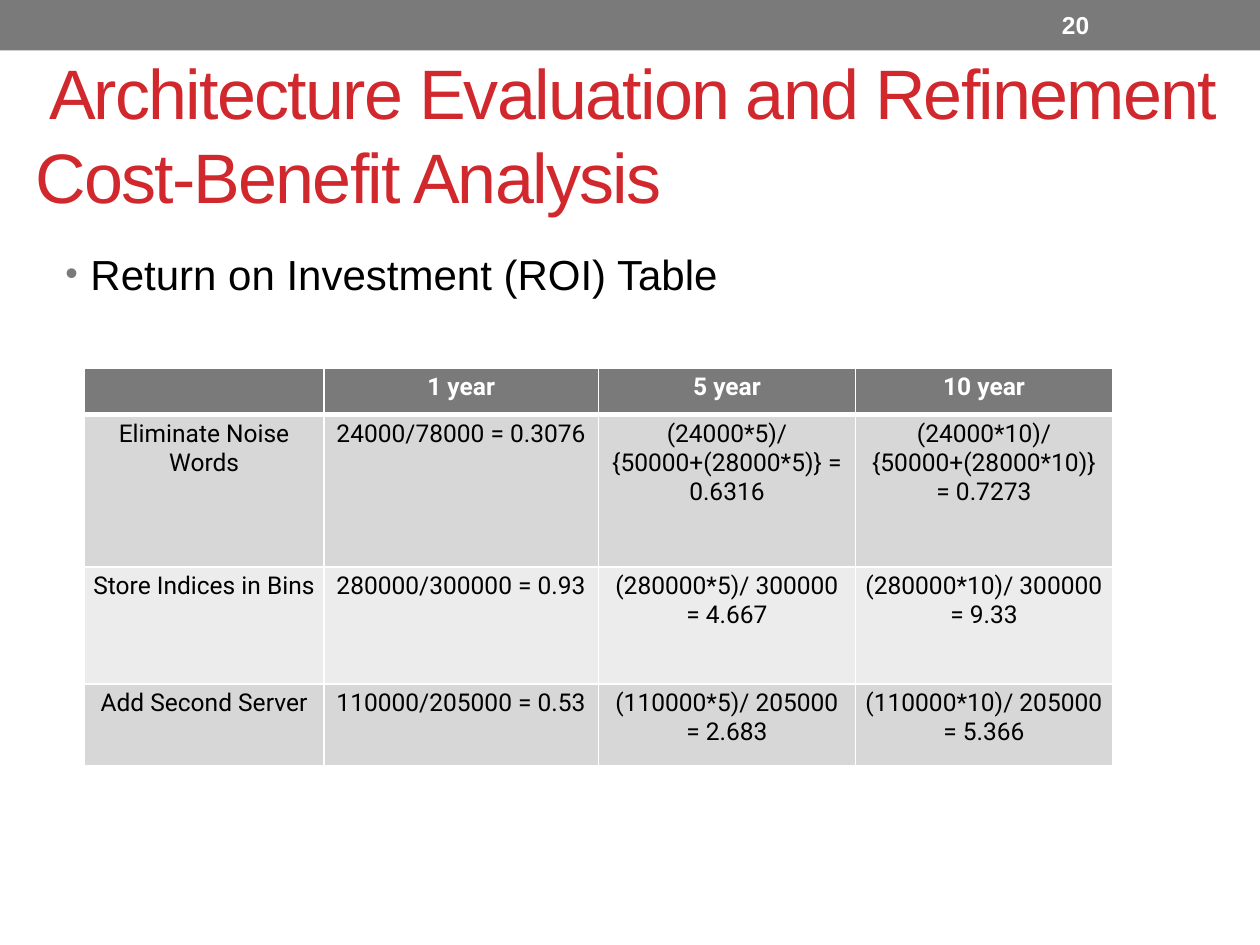
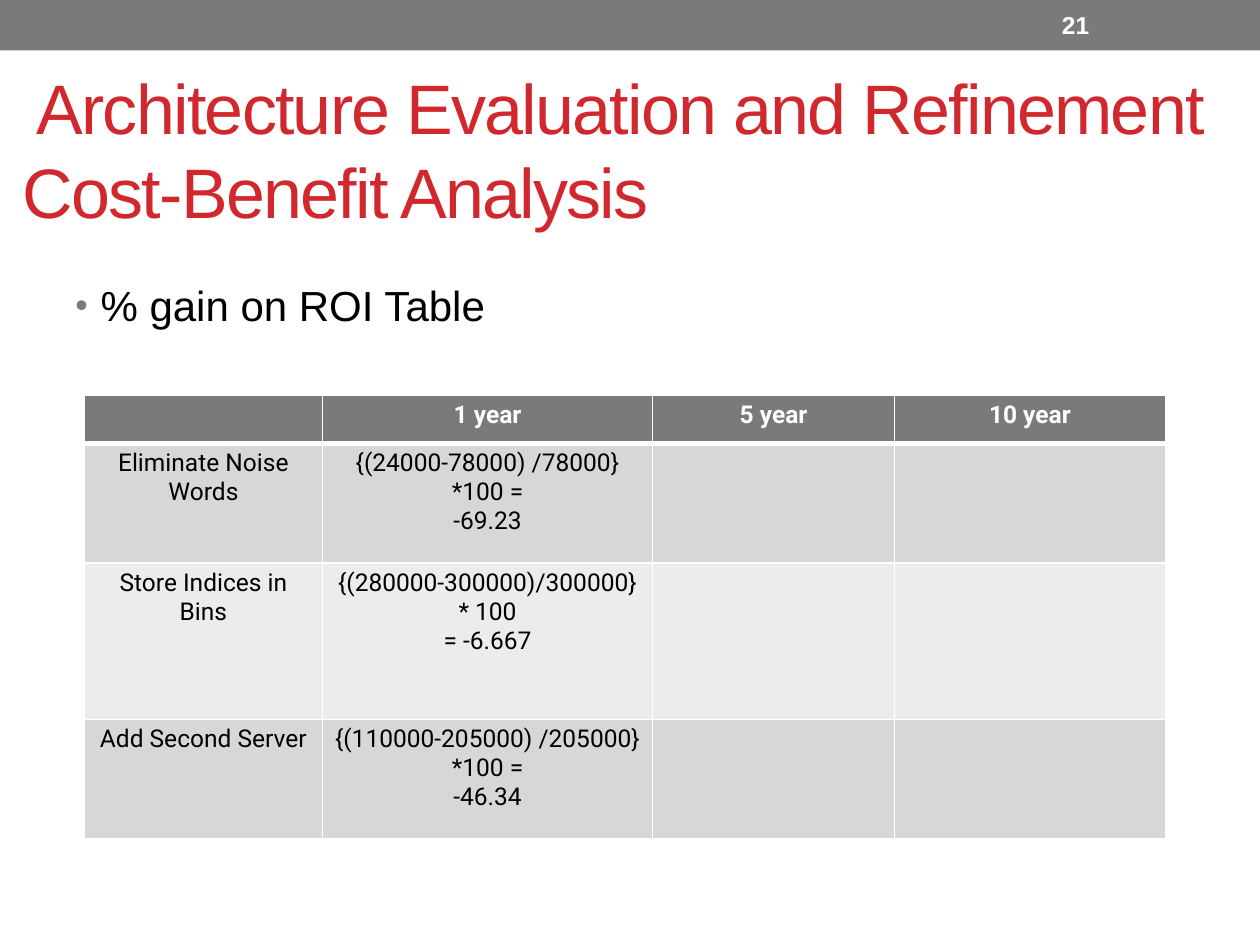
from lxml import etree
from pptx import Presentation
from pptx.dml.color import RGBColor
from pptx.enum.shapes import MSO_SHAPE
from pptx.enum.text import MSO_ANCHOR, MSO_AUTO_SIZE, PP_ALIGN
from pptx.oxml.ns import qn
from pptx.util import Inches, Pt

RECTANGLE = MSO_SHAPE.RECTANGLE
MIDDLE = MSO_ANCHOR.MIDDLE
NO_AUTOFIT = MSO_AUTO_SIZE.NONE
LEFT, CENTER = PP_ALIGN.LEFT, PP_ALIGN.CENTER
TITLE_ONLY = 5

COLORS = {
    "gray": "7A7A7A",
    "red": "D1282E",
    "white": "FFFFFF",
    "black": "000000",
    "odd_row": "D7D7D7",
    "even_row": "ECECEC",
}
TEXT_FONT, TABLE_FONT = "Arial", "Roboto"
SLIDE_WIDTH, SLIDE_HEIGHT, BAND_HEIGHT = 10, 7.5, 0.4
TITLE = " Architecture Evaluation and Refinement\vCost-Benefit Analysis"
YEARS = ["", "1 year", "5 year", "10 year"]

SLIDES = [
    {
        "number": "20",
        "title_box": (0.18, 0.44, 9.82, 1.24),
        "bullet": "Return on Investment (ROI) Table",
        "bullet_box": (0.42, 1.92, 9, 5.33),
        "table_corner": (0.67, 2.92),
        "column_widths": [1.9, 2.18, 2.04, 2.04],
        "row_heights": [0.37, 1.21, 0.93, 0.65],
        "rows": [
            YEARS,
            ["Eliminate Noise Words", "24000/78000 = 0.3076",
             "(24000*5)/{50000+(28000*5)} = 0.6316",
             "(24000*10)/{50000+(28000*10)} = 0.7273"],
            ["Store Indices in Bins", "280000/300000 = 0.93",
             "(280000*5)/ 300000 = 4.667", "(280000*10)/ 300000 = 9.33"],
            ["Add Second Server", "110000/205000 = 0.53",
             "(110000*5)/ 205000 = 2.683", "(110000*10)/ 205000 = 5.366"],
        ],
    },
    {
        "number": "21",
        "title_box": (0.08, 0.52, 9.67, 1.31),
        "bullet": "% gain on ROI Table",
        "bullet_box": (0.5, 2.17, 9, 4.92),
        "table_corner": (0.67, 3.14),
        "column_widths": [1.89, 2.62, 1.92, 2.15],
        "row_heights": [0.38, 0.95, 1.24, 0.95],
        "rows": [
            YEARS,
            ["Eliminate Noise Words", "{(24000-78000) /78000}*100 =\n-69.23", "", ""],
            ["Store Indices in Bins", "{(280000-300000)/300000} * 100\n= -6.667", "", ""],
            ["Add Second Server", "{(110000-205000) /205000}*100 =\n-46.34", "", ""],
        ],
    },
]


def rgb(name):
    return RGBColor.from_string(COLORS[name])


def set_font(paragraph, name, size, color, bold=False):
    font = paragraph.font
    font.name, font.size, font.bold = name, Pt(size), bold
    font.color.rgb = rgb(color)


def add_band(slide, number):
    """Draw the gray band across the top with the slide number in it."""
    band = slide.shapes.add_shape(RECTANGLE, 0, 0, Inches(SLIDE_WIDTH), Inches(BAND_HEIGHT))
    band.shadow.inherit = False
    band.fill.solid()
    band.fill.fore_color.rgb = rgb("gray")
    band.line.fill.background()
    number_box = slide.shapes.add_textbox(
        Inches(8.33), Inches(0.02), Inches(1.17), Inches(BAND_HEIGHT - 0.04))
    frame = number_box.text_frame
    frame.word_wrap = True
    frame.vertical_anchor = MIDDLE
    frame.text = number
    set_font(frame.paragraphs[0], TEXT_FONT, 14, "white", bold=True)


def format_title(slide, box):
    title = slide.shapes.title
    title.left, title.top, title.width, title.height = map(Inches, box)
    frame = title.text_frame
    frame.auto_size = NO_AUTOFIT
    frame.vertical_anchor = MIDDLE
    paragraph = frame.paragraphs[0]
    paragraph.text = TITLE
    paragraph.alignment = LEFT
    set_font(paragraph, TEXT_FONT, 40, "red")
    for run in paragraph.runs:
        run._r.get_or_add_rPr().set("spc", "-100")


def add_bullet(slide, text, box):
    frame = slide.shapes.add_textbox(*map(Inches, box)).text_frame
    frame.word_wrap = True
    frame.text = text
    paragraph = frame.paragraphs[0]
    properties = paragraph._p.get_or_add_pPr()
    properties.set("marL", str(Inches(0.2)))
    properties.set("indent", str(Inches(-0.2)))
    bullet_color = etree.SubElement(properties, qn("a:buClr"))
    etree.SubElement(bullet_color, qn("a:srgbClr"), val=COLORS["gray"])
    etree.SubElement(properties, qn("a:buSzPct"), val="85000")
    etree.SubElement(properties, qn("a:buFont"), typeface=TEXT_FONT)
    etree.SubElement(properties, qn("a:buChar"), char="•")
    set_font(paragraph, TEXT_FONT, 24, "black")


def add_borders(cell, row_index):
    """Draw white borders, thicker between the header and the first row."""
    widths = {"L": 1, "R": 1, "T": 3 if row_index == 1 else 1, "B": 3 if row_index == 0 else 1}
    properties = cell._tc.get_or_add_tcPr()
    for side, width in widths.items():
        line = etree.SubElement(properties, qn(f"a:ln{side}"), w=str(Pt(width)))
        fill = etree.SubElement(line, qn("a:solidFill"))
        etree.SubElement(fill, qn("a:srgbClr"), val=COLORS["white"])


def format_cell(cell, text, row_index):
    is_header = row_index == 0
    cell.text = text
    cell.margin_left = cell.margin_right = Inches(0.07)
    cell.margin_top = cell.margin_bottom = Inches(0.04)
    add_borders(cell, row_index)
    cell.fill.solid()
    row_color = "odd_row" if row_index % 2 else "even_row"
    cell.fill.fore_color.rgb = rgb("gray" if is_header else row_color)
    for paragraph in cell.text_frame.paragraphs:
        paragraph.alignment = CENTER
        set_font(paragraph, TABLE_FONT, 14, "white" if is_header else "black", is_header)


def add_roi_table(slide, corner, column_widths, row_heights, rows):
    size = sum(column_widths), sum(row_heights)
    table = slide.shapes.add_table(
        len(rows), len(column_widths), *map(Inches, corner + size)).table
    for column, width in zip(table.columns, column_widths):
        column.width = Inches(width)
    for row_index, (row, height, texts) in enumerate(zip(table.rows, row_heights, rows)):
        row.height = Inches(height)
        for cell, text in zip(row.cells, texts):
            format_cell(cell, text, row_index)


def add_analysis_slide(presentation, content):
    slide = presentation.slides.add_slide(presentation.slide_layouts[TITLE_ONLY])
    add_band(slide, content["number"])
    format_title(slide, content["title_box"])
    add_bullet(slide, content["bullet"], content["bullet_box"])
    add_roi_table(slide, content["table_corner"], content["column_widths"],
                  content["row_heights"], content["rows"])


def main():
    presentation = Presentation()
    presentation.slide_width = Inches(SLIDE_WIDTH)
    presentation.slide_height = Inches(SLIDE_HEIGHT)
    for content in SLIDES:
        add_analysis_slide(presentation, content)
    presentation.save("out.pptx")


if __name__ == "__main__":
    main()
